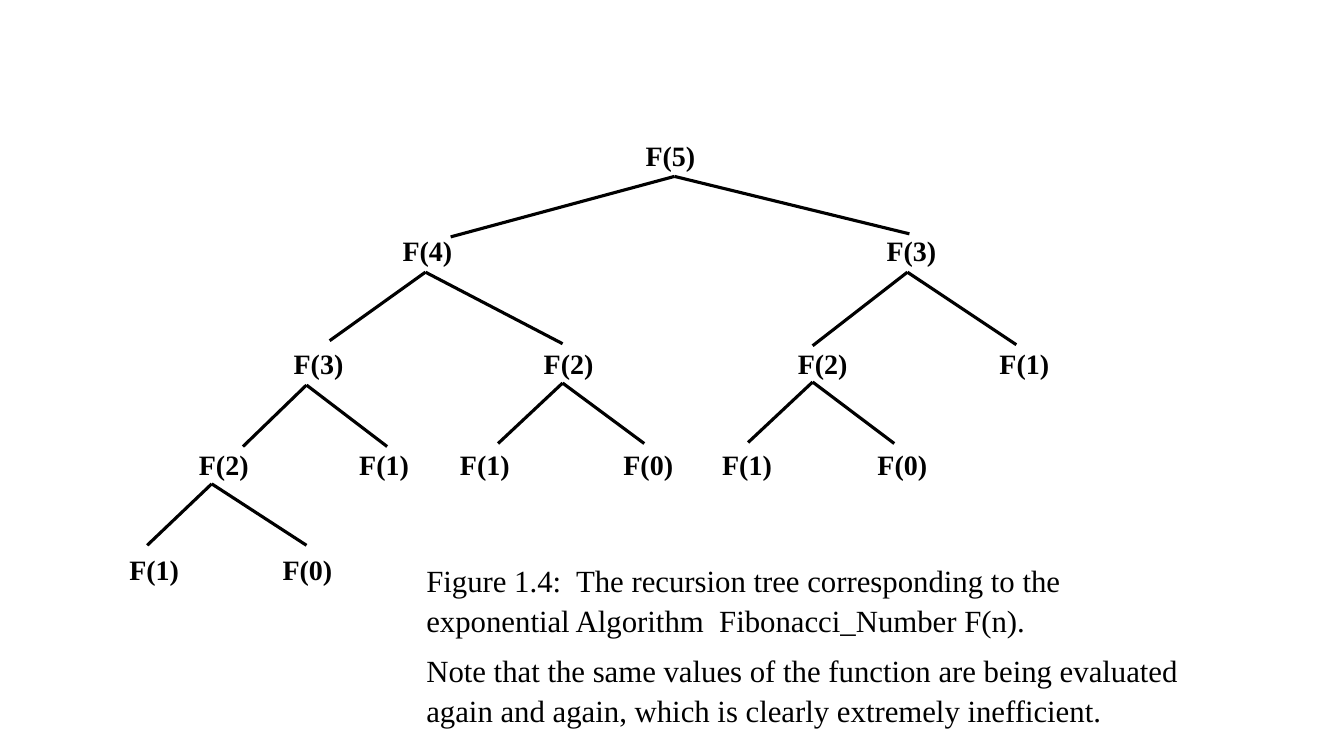
from lxml import etree
from pptx import Presentation
from pptx.dml.color import RGBColor
from pptx.enum.shapes import MSO_CONNECTOR as Connector
from pptx.enum.text import MSO_ANCHOR as Anchor, PP_ALIGN as Align
from pptx.oxml.ns import qn
from pptx.util import Inches, Pt

COLORS = {"ink": "000000", "paper": "FFFFFF"}

# Top of each level, with the argument of F and the label's centre
LEVELS = [
    (1.32, [(5, 6.65)]),
    (2.26, [(4, 4.24), (3, 9.04)]),
    (3.38, [(3, 3.16), (2, 5.64), (2, 8.16), (1, 10.16)]),
    (4.39, [(2, 2.22), (1, 3.81), (1, 4.81), (0, 6.43), (1, 7.41), (0, 8.95)]),
    (5.43, [(1, 1.53), (0, 3.05)]),
]

# Apex below a call, then the ends of its left and right branches
FORKS = [
    ((6.69, 1.75), (4.47, 2.35), (9.02, 2.32)),
    ((4.22, 2.7), (3.27, 3.38), (5.58, 3.41)),
    ((9, 2.7), (8.06, 3.43), (10.08, 3.42)),
    ((3.04, 3.82), (2.41, 4.43), (3.84, 4.43)),
    ((5.58, 3.8), (4.94, 4.4), (6.39, 4.4)),
    ((8.06, 3.79), (7.42, 4.39), (8.87, 4.4)),
    ((2.1, 4.8), (1.46, 5.41), (3.04, 5.41)),
]

CAPTION = [
    "Figure 1.4:  The recursion tree corresponding to the exponential "
    "Algorithm  Fibonacci_Number F(n).",
    "Note that the same values of the function are being evaluated again "
    "and again, which is clearly extremely inefficient.",
]


class TreePage:
    font = "Times New Roman"
    label_size = (0.8, 0.44)

    def __init__(self, deck):
        self.page = deck.slides.add_slide(deck.slide_layouts[6])
        fill = self.page.background.fill
        fill.solid()
        fill.fore_color.rgb = RGBColor.from_string(COLORS["paper"])

    def add_span(self, para, text, size, bold=False):
        span = para.add_run()
        span.text = text
        span.font.name = self.font
        span.font.size = Pt(size)
        span.font.bold = bold
        span.font.color.rgb = RGBColor.from_string(COLORS["ink"])

    def add_call(self, argument, center, top):
        """Place the label F(argument) centred on a horizontal position."""
        width, height = self.label_size
        box = self.page.shapes.add_textbox(
            Inches(center - width / 2), Inches(top), Inches(width), Inches(height))
        frame = box.text_frame
        frame.word_wrap = True
        frame.margin_left = frame.margin_right = 0
        frame.vertical_anchor = Anchor.MIDDLE
        para = frame.paragraphs[0]
        para.alignment = Align.CENTER
        self.add_span(para, f"F({argument})", 20, bold=True)

    def add_branch(self, start, end):
        line = self.page.shapes.add_connector(
            Connector.STRAIGHT, *(Inches(length) for length in (*start, *end)))
        line.line.color.rgb = RGBColor.from_string(COLORS["ink"])
        line.line.width = Pt(2.25)
        etree.SubElement(line._element.spPr, qn("a:effectLst"))

    def add_caption(self, texts, left, top, width, height):
        box = self.page.shapes.add_textbox(
            Inches(left), Inches(top), Inches(width), Inches(height))
        frame = box.text_frame
        frame.word_wrap = True
        for index, text in enumerate(texts):
            para = frame.add_paragraph() if index else frame.paragraphs[0]
            para.line_spacing = 1.07
            para.space_after = Pt(8)
            para._p.get_or_add_pPr().set("marL", str(Inches(0.5)))
            self.add_span(para, text, 22)


def main():
    deck = Presentation()
    deck.slide_width, deck.slide_height = Inches(13.33), Inches(7.5)
    tree = TreePage(deck)
    for top, calls in LEVELS:
        for argument, center in calls:
            tree.add_call(argument, center, top)
    tree.add_caption(CAPTION, 3.63, 5.5, 8.19, 1.78)
    for apex, *ends in FORKS:
        for end in ends:
            tree.add_branch(apex, end)
    deck.save("out.pptx")


if __name__ == "__main__":
    main()
